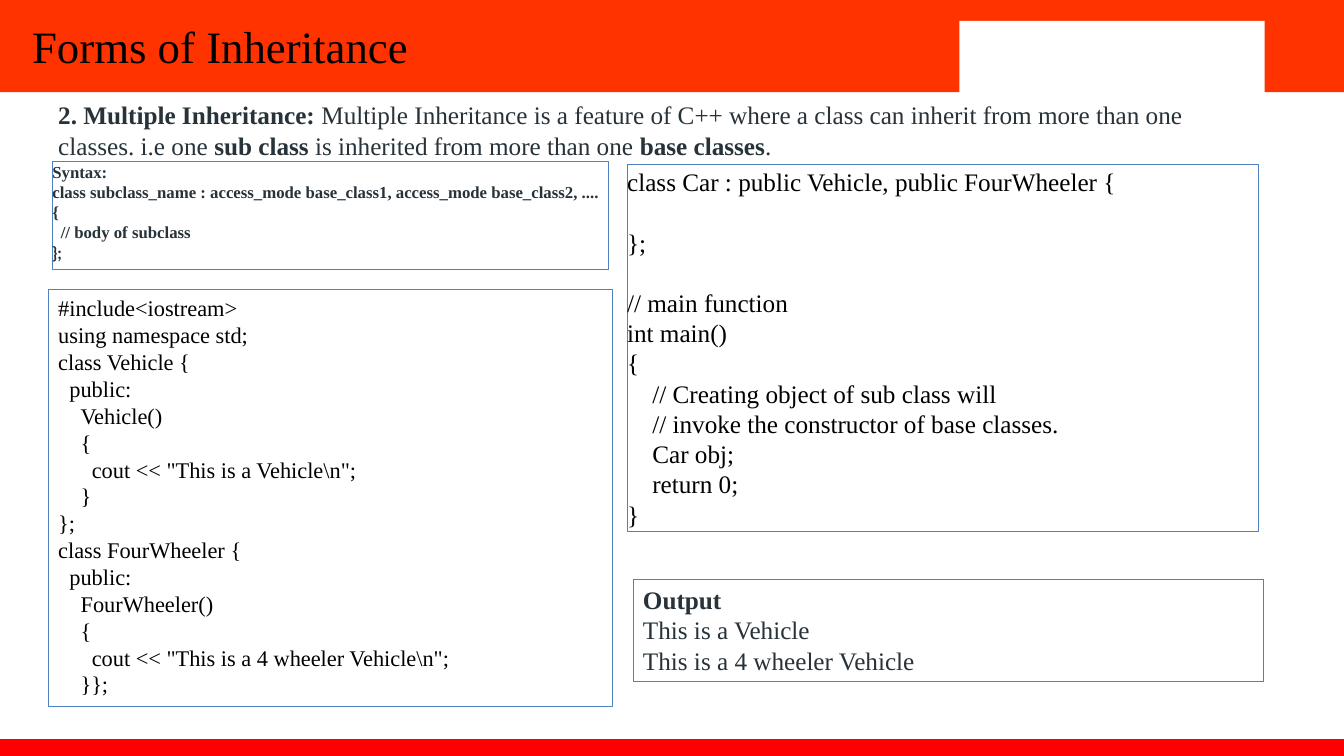
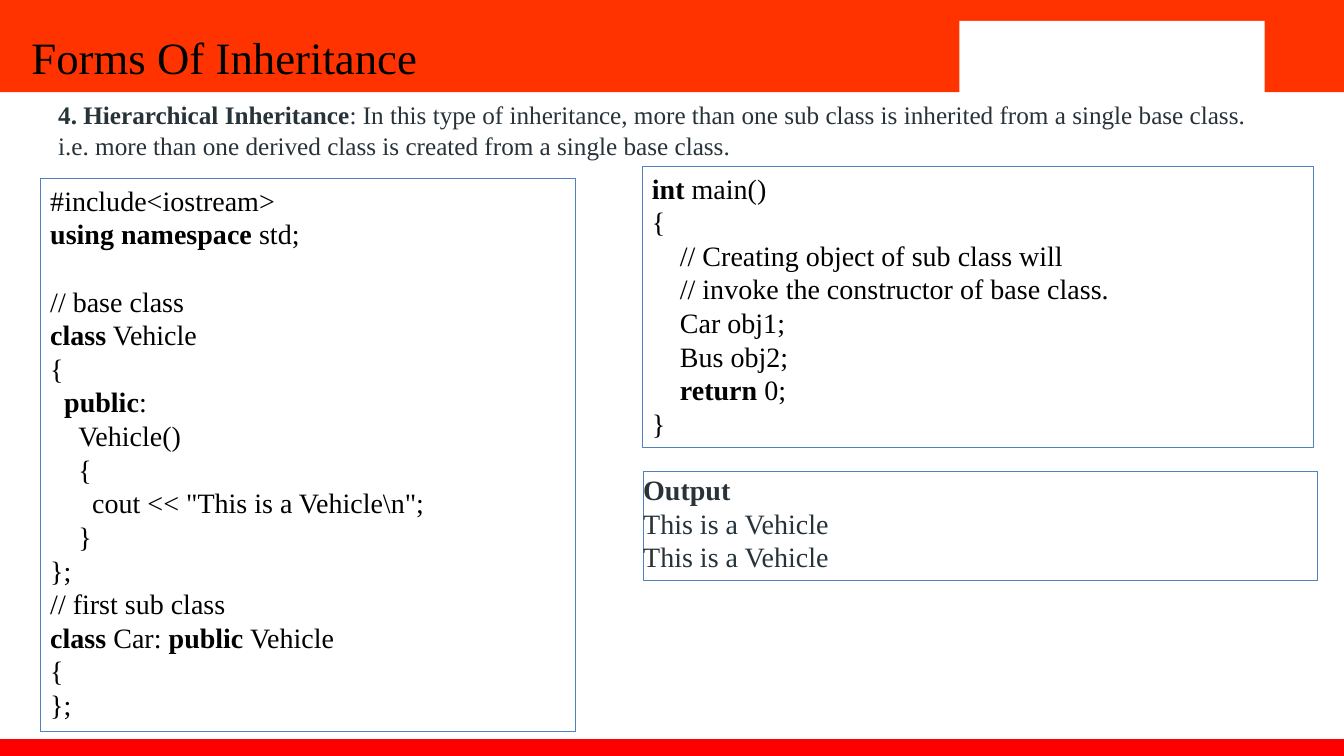
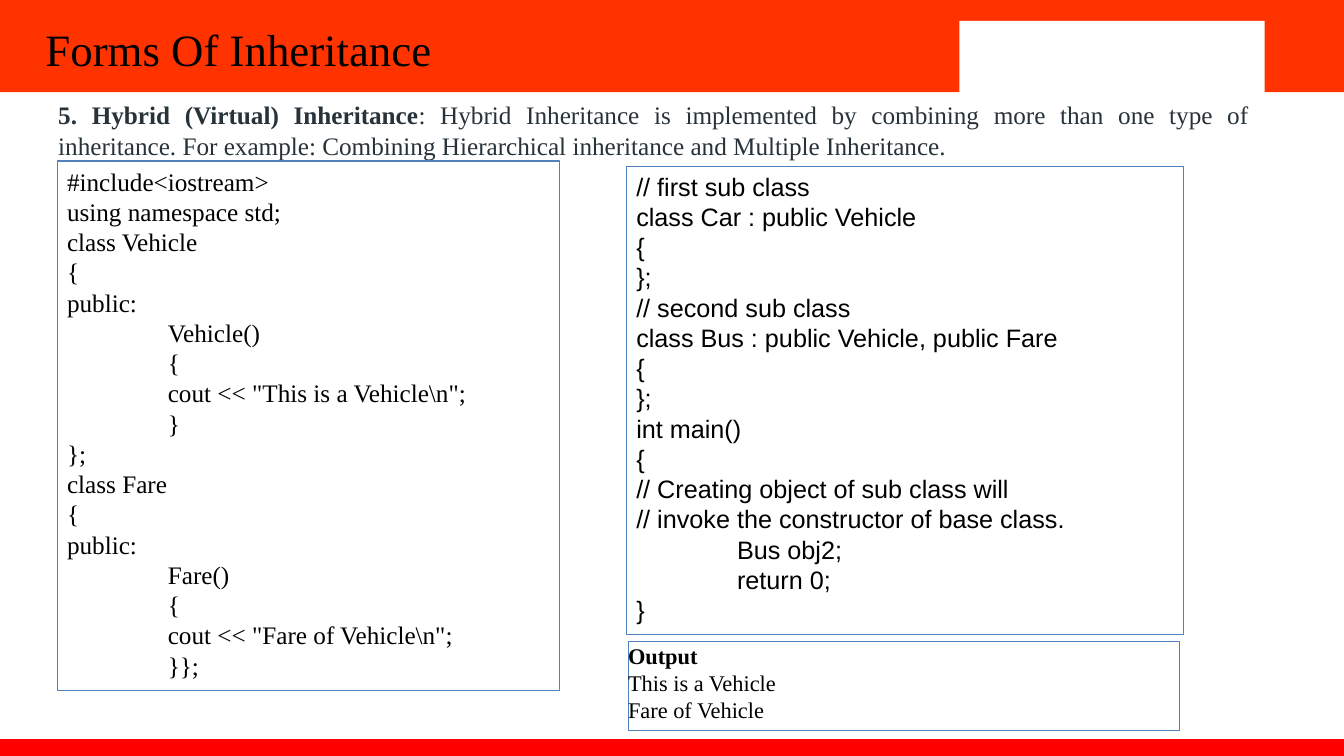
from pptx import Presentation
from pptx.dml.color import RGBColor as RGB
from pptx.enum.shapes import MSO_SHAPE as Shape
from pptx.enum.text import MSO_ANCHOR as Anchor, PP_ALIGN as Align
from pptx.util import Pt

ORANGE = RGB(0xFF, 0x33, 0x00)
RED = RGB(0xFF, 0x00, 0x00)
WHITE = RGB(0xFF, 0xFF, 0xFF)
BLACK = RGB(0x00, 0x00, 0x00)
SLATE = RGB(0x27, 0x32, 0x39)
BLUE = RGB(0x4F, 0x81, 0xBD)
SERIF = "Times New Roman"
WIDE, HIGH = 960, 540

SYNTAX = """**Syntax:**
**class subclass_name : access_mode base_class1, access_mode base_class2, ....**
**{**
  **// body of subclass**
**};**"""

WHEELS = r"""#include<iostream>
using namespace std;
class Vehicle {
  public:
    Vehicle()
    {
      cout << "This is a Vehicle\n";
    }
};
class FourWheeler {
  public:
    FourWheeler()
    {
      cout << "This is a 4 wheeler Vehicle\n";
    }};"""

CAR = """class Car : public Vehicle, public FourWheeler {

};

// main function
int main()
{
    // Creating object of sub class will
    // invoke the constructor of base classes.
    Car obj;
    return 0;
}"""

BASE = r"""#include<iostream>
**using namespace** std;

// base class
**class** Vehicle
{
  **public**:
    Vehicle()
    {
      cout << "This is a Vehicle\n";
    }
};
// first sub class
**class** Car: **public** Vehicle
{
};"""

MAIN = """**int** main()
{
    // Creating object of sub class will
    // invoke the constructor of base class.
    Car obj1;
    Bus obj2;
    **return** 0;
}"""

FARE = r"""#include<iostream>
using namespace std;
class Vehicle
{
public:
    Vehicle()
    {
    cout << "This is a Vehicle\n";
    }
};
class Fare
{
public:
    Fare()
    {
    cout << "Fare of Vehicle\n";
    }};"""

BUS = """// first sub class
class Car : public Vehicle
{
};
// second sub class
class Bus : public Vehicle, public Fare
{
};
int main()
{
// Creating object of sub class will
// invoke the constructor of base class.
    Bus obj2;
    return 0;
}"""


def write(frame, text, size, color=BLACK, font=SERIF, unit=None):
    """Fill a frame; ** toggles bold, leading spaces become a left indent
    of unit points each, and an empty line becomes space before the next."""
    frame.word_wrap = True
    para, gap = frame.paragraphs[0], 0
    for row, line in enumerate(text.split("\n")):
        if not line:
            gap = 1.2 * size
            continue
        if row:
            para = frame.add_paragraph()
        para.alignment = Align.LEFT
        para.space_before = Pt(gap)
        gap = 0
        body = line.lstrip(" ")
        left = (len(line) - len(body)) * (unit or size / 4)
        if left:
            props = para._p.get_or_add_pPr()
            props.set("marL", str(Pt(left)))
            props.set("indent", "0")
        for part, words in enumerate(body.split("**")):
            if words:
                run = para.add_run()
                run.text = words
                run.font.size = Pt(size)
                run.font.name = font
                run.font.bold = part % 2 == 1
                run.font.color.rgb = color


def block(slide, at, fill=None, line=None):
    shape = slide.shapes.add_shape(Shape.RECTANGLE, *map(Pt, at))
    shape.shadow.inherit = False
    if fill is None:
        shape.fill.background()
    else:
        shape.fill.solid()
        shape.fill.fore_color.rgb = fill
    if line is None:
        shape.line.fill.background()
    else:
        shape.line.color.rgb = line
        shape.line.width = Pt(0.75)
    return shape


def label(slide, at, text, size, color):
    frame = slide.shapes.add_textbox(*map(Pt, at)).text_frame
    write(frame, text, size, color)
    return frame


def panel(slide, at, text, size, **style):
    """Outlined box with padding, text at the top."""
    frame = block(slide, at, line=BLUE).text_frame
    frame.vertical_anchor = Anchor.TOP
    write(frame, text, size, **style)
    return frame


def tight(slide, at, text, size, foot=5, **style):
    """Outlined white box without side padding, text in the middle."""
    frame = block(slide, at, WHITE, BLUE).text_frame
    frame.vertical_anchor = Anchor.MIDDLE
    frame.margin_left = frame.margin_right = frame.margin_top = 0
    frame.margin_bottom = Pt(foot)
    write(frame, text, size, **style)
    return frame


def start(deck, title, spot, intro):
    """Add a slide with its bands, title and opening text."""
    slide = deck.slides.add_slide(deck.slide_layouts[6])
    block(slide, (0, 0, WIDE, 65.8), ORANGE)
    block(slide, (0, 528, WIDE, 15), RED)
    block(slide, (685.3, 15, 218, 54), WHITE)
    label(slide, (*spot, 572, 46), title, 32, BLACK)
    return slide, label(slide, (34.5, 67.7, 865, 51), intro, 18, SLATE)


def multiple(deck):
    slide, _ = start(
        deck, "Forms of Inheritance", (15.8, 10),
        "**2. Multiple Inheritance:** Multiple Inheritance is a feature of C++ "
        "where a class can inherit from more than one classes. i.e one "
        "**sub class** is inherited from more than one **base classes**.")
    frame = tight(slide, (37.4, 115.2, 397.4, 77.6), SYNTAX, 12, color=SLATE)
    frame.paragraphs[-1].runs[0].font.name = "Lato"
    panel(slide, (34.5, 206.8, 403, 298), WHEELS, 16)
    panel(slide, (452.2, 414, 450.2, 72.8),
          "**Output**\nThis is a Vehicle\nThis is a 4 wheeler Vehicle",
          18, color=SLATE)
    tight(slide, (448, 117.4, 451, 262), CAR, 18, foot=0)


def tree(deck):
    slide, _ = start(
        deck, "Forms Of Inheritance", (15.3, 17.5),
        "**4. Hierarchical Inheritance**: In this type of inheritance, more "
        "than one sub class is inherited from a single base class. i.e. more "
        "than one derived class is created from a single base class.")
    panel(slide, (28.8, 127.4, 382.3, 395.2), BASE, 20)
    panel(slide, (458.6, 118.6, 480, 201), MAIN, 20)
    tight(slide, (459.4, 337, 481.8, 77.8),
          "**Output**\nThis is a Vehicle\nThis is a Vehicle",
          20, color=SLATE)


def hybrid(deck):
    slide, intro = start(
        deck, "Forms Of Inheritance", (25.4, 11.8),
        "**5. Hybrid (Virtual) Inheritance**: Hybrid Inheritance is "
        "implemented by combining more than one type of inheritance. For "
        "example: Combining Hierarchical inheritance and Multiple Inheritance.")
    intro.paragraphs[0].alignment = Align.JUSTIFY
    panel(slide, (40.8, 115, 359, 378), FARE, 18, unit=18)
    panel(slide, (447.4, 118.6, 398, 334.4), BUS, 18, font="Arial", unit=18)
    tight(slide, (448.6, 458.4, 394, 63.4),
          "**Output**\nThis is a Vehicle\nFare of Vehicle", 16)


def main():
    deck = Presentation()
    deck.slide_width, deck.slide_height = Pt(WIDE), Pt(HIGH)
    for build in (multiple, tree, hybrid):
        build(deck)
    deck.save("out.pptx")


if __name__ == "__main__":
    main()
